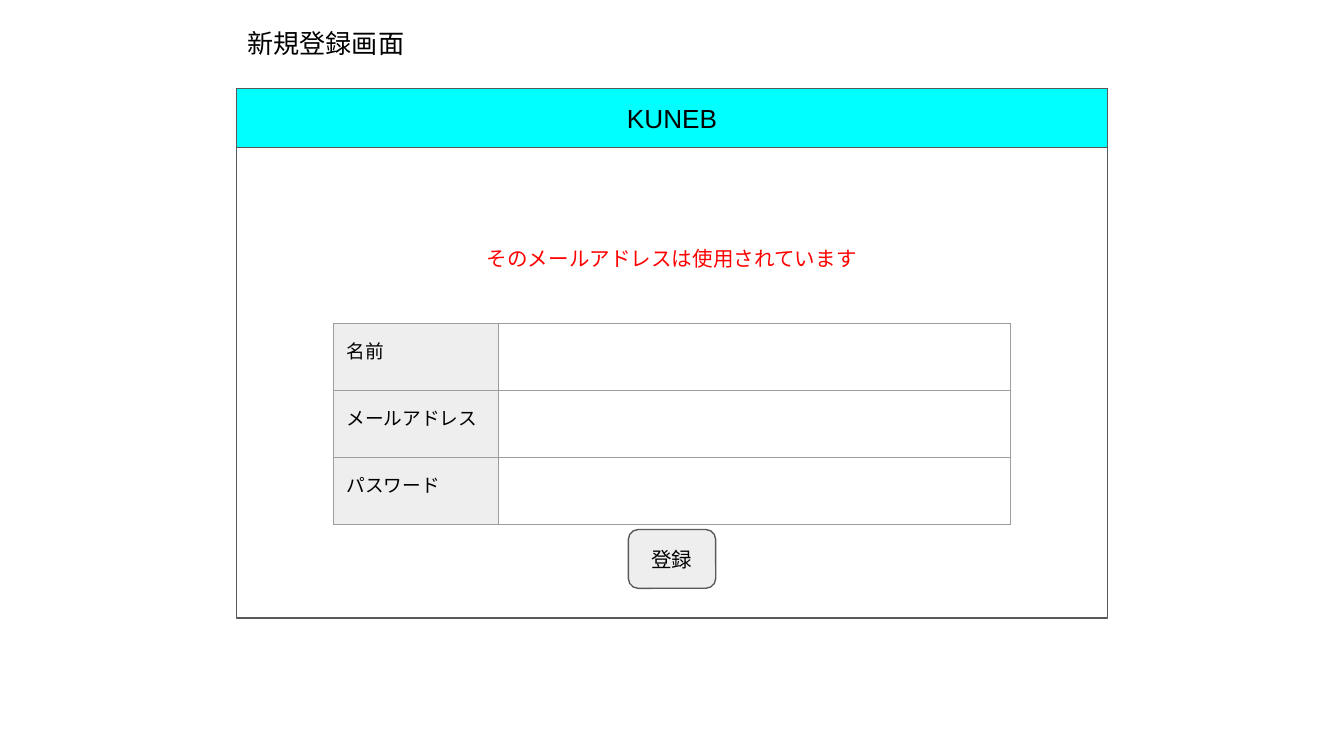
from dataclasses import dataclass

from lxml.etree import SubElement
from pptx import Presentation
from pptx.dml.color import RGBColor
from pptx.enum.shapes import MSO_SHAPE
from pptx.enum.text import MSO_ANCHOR, PP_ALIGN
from pptx.oxml.ns import qn
from pptx.shapes.autoshape import Shape
from pptx.slide import Slide
from pptx.table import _Cell
from pptx.text.text import TextFrame
from pptx.util import Pt


@dataclass(frozen=True)
class Theme:
    font: str = "Arial"
    ink: str = "000000"
    paper: str = "FFFFFF"
    header: str = "00FFFF"
    label: str = "EEEEEE"
    error: str = "FF0000"
    outline: str = "595959"
    grid: str = "9E9E9E"
    heading_size: float = 14
    body_size: float = 11
    field_size: float = 10
    stroke: float = 0.75
    inset: float = 7.2


@dataclass(frozen=True)
class Area:
    left: float
    top: float
    width: float
    height: float


@dataclass(frozen=True)
class Panel:
    area: Area
    fill: str
    text: str = ""
    size: float = 0
    kind: MSO_SHAPE = MSO_SHAPE.RECTANGLE


THEME = Theme()
PAGE_WIDTH, PAGE_HEIGHT = 720, 405
FORM_WIDTH, LABEL_WIDTH, ROW_HEIGHT = 362.9, 88.6, 35.9
FIELDS = ("名前", "メールアドレス", "パスワード")


def centred(top: float, width: float, height: float) -> Area:
    return Area((PAGE_WIDTH - width) / 2, top, width, height)


WINDOW = Panel(centred(47.5, 466.6, 283.7), THEME.paper)
HEADER = Panel(centred(47.5, 466.6, 31.5), THEME.header, "KUNEB", THEME.heading_size)
BUTTON = Panel(
    centred(283.7, 46.8, 31.5), THEME.label, "登録", THEME.body_size, MSO_SHAPE.ROUNDED_RECTANGLE
)
TITLE_AREA = Area(12.2, 7.2, 324.7, 31.7)
MESSAGE_AREA = centred(125.3, FORM_WIDTH, 28)
FORM_AREA = centred(173.5, FORM_WIDTH, ROW_HEIGHT * len(FIELDS))


def place(box: Shape, area: Area) -> None:
    box.left, box.top = Pt(area.left), Pt(area.top)
    box.width, box.height = Pt(area.width), Pt(area.height)


def write(
    frame: TextFrame,
    text: str,
    size: float,
    color: str = THEME.ink,
    align: PP_ALIGN = PP_ALIGN.CENTER,
    anchor: MSO_ANCHOR = MSO_ANCHOR.TOP,
) -> None:
    frame.word_wrap = True
    frame.vertical_anchor = anchor
    frame.margin_left = frame.margin_right = Pt(THEME.inset)
    frame.margin_top = frame.margin_bottom = Pt(THEME.inset)
    para = frame.paragraphs[0]
    para.alignment = align
    span = para.add_run()
    span.text = text
    span.font.name = THEME.font
    span.font.size = Pt(size)
    span.font.color.rgb = RGBColor.from_string(color)


def draw_panel(page: Slide, panel: Panel) -> None:
    area = panel.area
    box = page.shapes.add_shape(
        panel.kind, Pt(area.left), Pt(area.top), Pt(area.width), Pt(area.height)
    )
    box.shadow.inherit = False
    box.fill.solid()
    box.fill.fore_color.rgb = RGBColor.from_string(panel.fill)
    box.line.color.rgb = RGBColor.from_string(THEME.outline)
    box.line.width = Pt(THEME.stroke)
    if panel.text:
        write(box.text_frame, panel.text, panel.size, anchor=MSO_ANCHOR.MIDDLE)


def border(cell: _Cell) -> None:
    properties = cell._tc.get_or_add_tcPr()
    for index, side in enumerate(("a:lnL", "a:lnR", "a:lnT", "a:lnB")):
        line = SubElement(properties, qn(side), w=str(Pt(THEME.stroke)))
        fill = SubElement(line, qn("a:solidFill"))
        SubElement(fill, qn("a:srgbClr"), val=THEME.grid)
        properties.remove(line)
        properties.insert(index, line)


def draw_form(page: Slide, area: Area) -> None:
    table = page.shapes.add_table(
        len(FIELDS), 2, Pt(area.left), Pt(area.top), Pt(area.width), Pt(area.height)
    ).table
    table.first_row = table.horz_banding = False
    table.columns[0].width = Pt(LABEL_WIDTH)
    table.columns[1].width = Pt(FORM_WIDTH - LABEL_WIDTH)
    for row, label in zip(table.rows, FIELDS):
        row.height = Pt(ROW_HEIGHT)
        name, value = row.cells
        for cell in (name, value):
            cell.margin_left = cell.margin_right = Pt(THEME.inset)
            cell.margin_top = cell.margin_bottom = Pt(THEME.inset)
            border(cell)
        name.fill.solid()
        name.fill.fore_color.rgb = RGBColor.from_string(THEME.label)
        value.fill.background()
        value.text_frame.paragraphs[0].font.size = Pt(THEME.field_size)
        span = name.text_frame.paragraphs[0].add_run()
        span.text = label
        span.font.name = THEME.font
        span.font.size = Pt(THEME.field_size)
        span.font.color.rgb = RGBColor.from_string(THEME.ink)


def main() -> None:
    deck = Presentation()
    deck.slide_width, deck.slide_height = Pt(PAGE_WIDTH), Pt(PAGE_HEIGHT)
    page = deck.slides.add_slide(deck.slide_layouts.get_by_name("Title Only"))

    title = page.shapes.title
    place(title, TITLE_AREA)
    write(title.text_frame, "新規登録画面", THEME.heading_size)

    draw_panel(page, WINDOW)
    draw_panel(page, BUTTON)
    draw_form(page, FORM_AREA)

    message = page.shapes.add_textbox(0, 0, 0, 0)
    place(message, MESSAGE_AREA)
    write(
        message.text_frame, "そのメールアドレスは使用されています", THEME.body_size, THEME.error
    )
    draw_panel(page, HEADER)

    deck.save("out.pptx")


if __name__ == "__main__":
    main()
